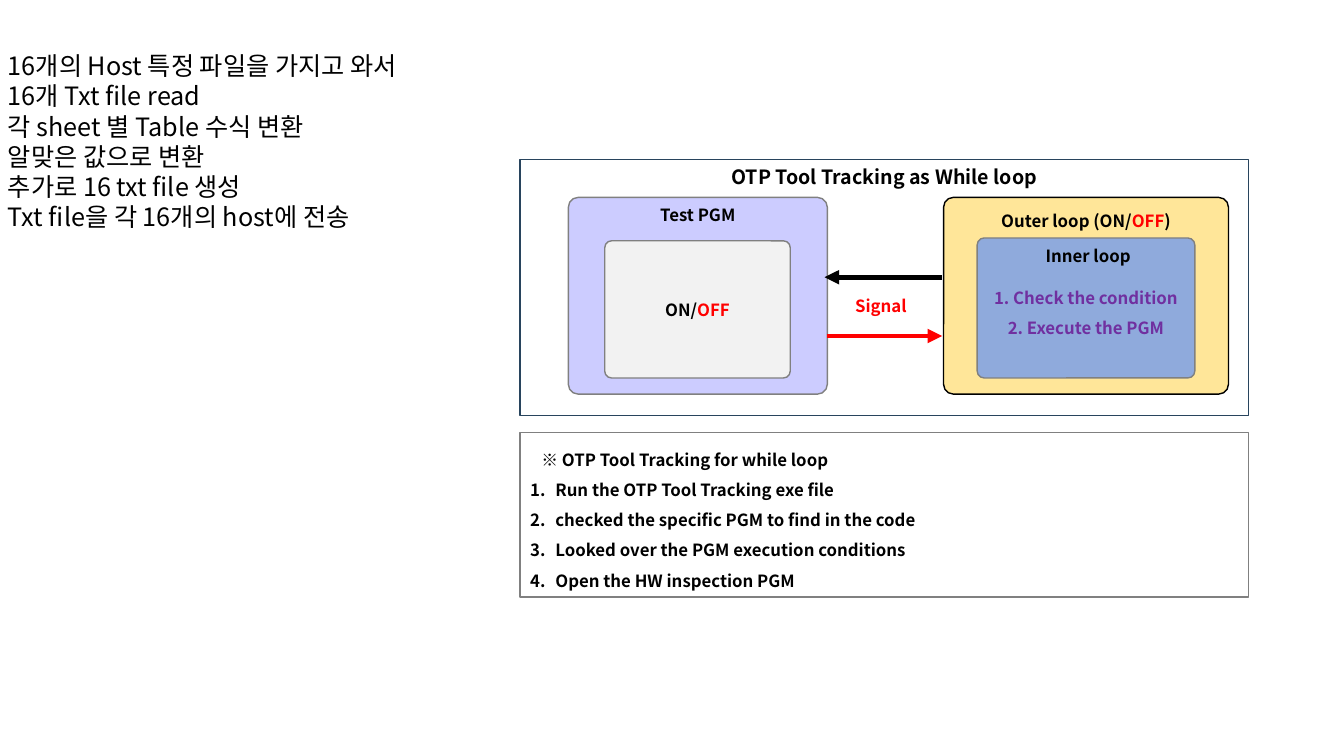
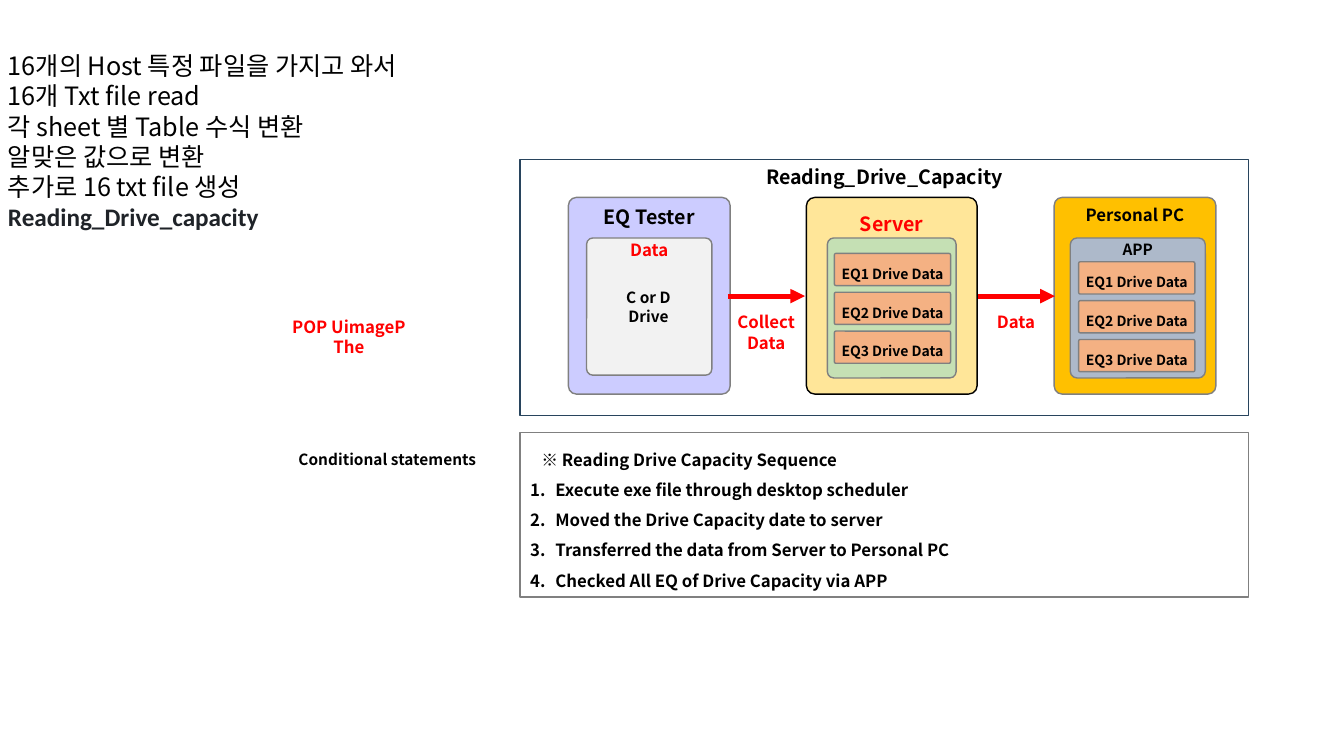
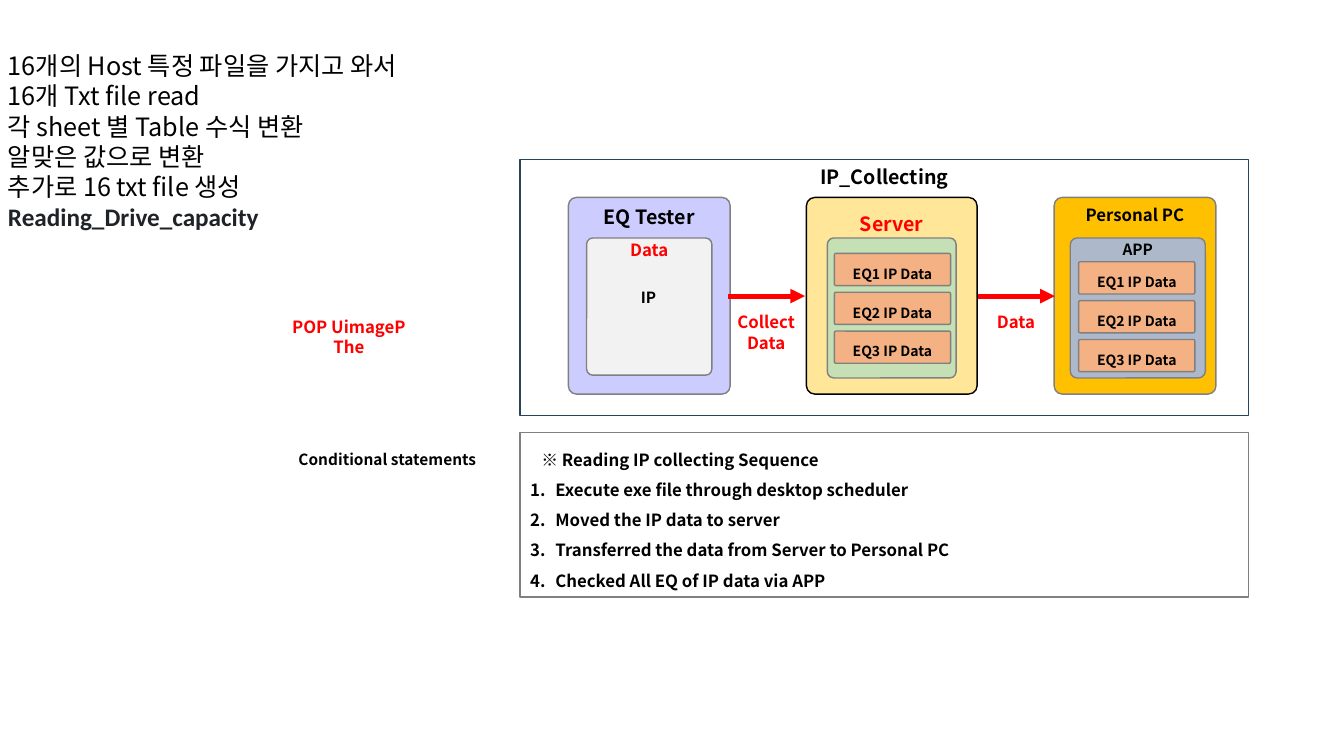
from lxml.etree import SubElement
from pptx import Presentation
from pptx.dml.color import RGBColor
from pptx.enum.shapes import MSO_CONNECTOR, MSO_SHAPE
from pptx.enum.text import MSO_ANCHOR, MSO_AUTO_SIZE, PP_ALIGN
from pptx.oxml.ns import qn
from pptx.util import Pt

FONT = "Noto Sans CJK KR"
BLACK = RGBColor(0x00, 0x00, 0x00)
WHITE = RGBColor(0xFF, 0xFF, 0xFF)
RED = RGBColor(0xFF, 0x00, 0x00)
PURPLE = RGBColor(0x70, 0x30, 0xA0)
INK = RGBColor(0x1F, 0x23, 0x28)
GREY = RGBColor(0x80, 0x80, 0x80)
NAVY = RGBColor(0x28, 0x44, 0x5D)
LAVENDER = RGBColor(0xCC, 0xCC, 0xFF)
PALE_GREY = RGBColor(0xF2, 0xF2, 0xF2)
CREAM = RGBColor(0xFF, 0xE6, 0x99)
BLUE = RGBColor(0x8F, 0xAA, 0xDC)
GREEN = RGBColor(0xC5, 0xE0, 0xB4)
GOLD = RGBColor(0xFF, 0xC0, 0x00)
SLATE = RGBColor(0xAD, 0xB9, 0xCA)
ORANGE = RGBColor(0xF4, 0xB1, 0x83)

FRAME_LEFT, FRAME_WIDTH = 371.5, 520.5
NODE_TOP, NODE_HEIGHT = 141, 140.5
STEP_INDENT = 18

NOTES = ["16개의 Host 특정 파일을 가지고 와서", "16개 Txt file read",
         "각 sheet 별 Table 수식 변환", "알맞은 값으로 변환", "추가로 16 txt file 생성"]

CONTENT = [
    ("OTP Tool Tracking as While loop", "OTP Tool Tracking for while loop",
     ["Run the OTP Tool Tracking exe file", "checked the specific PGM to find in the code",
      "Looked over the PGM execution conditions", "Open the HW inspection PGM"]),
    ("Reading_Drive_Capacity", "Reading Drive Capacity Sequence",
     ["Execute exe file through desktop scheduler", "Moved the Drive Capacity date to server",
      "Transferred the data from Server to Personal PC",
      "Checked All EQ of Drive Capacity via APP"]),
    ("IP_Collecting", "Reading IP collecting Sequence",
     ["Execute exe file through desktop scheduler", "Moved the IP data to server",
      "Transferred the data from Server to Personal PC", "Checked All EQ of IP data via APP"]),
]


def write(shape, paragraphs, size, bold=True, align=PP_ALIGN.CENTER, spacing=1.0,
          anchor=MSO_ANCHOR.TOP, inset=True):
    """Fill a shape with paragraphs, each a list of (text, colour) runs."""
    frame = shape.text_frame
    frame.word_wrap = True
    frame.auto_size = MSO_AUTO_SIZE.NONE
    frame.vertical_anchor = anchor
    frame.margin_left = frame.margin_right = Pt(7.2 if inset else 0)
    frame.margin_top = frame.margin_bottom = Pt(3.6 if inset else 0)
    for index, runs in enumerate(paragraphs):
        paragraph = frame.add_paragraph() if index else frame.paragraphs[0]
        paragraph.alignment = align
        paragraph.line_spacing = spacing
        paragraph.space_before = Pt(0)
        for text, colour in runs:
            run = paragraph.add_run()
            run.text = text
            run.font.size = Pt(size)
            run.font.bold = bold
            run.font.color.rgb = colour
            run.font.name = FONT
            SubElement(run.font._element, qn("a:ea"), typeface=FONT)


def add_box(slide, box, fill=None, paragraphs=(), size=12, line=GREY, **text_style):
    """Add a rounded box, or a plain text box when there is no fill."""
    bounds = [Pt(length) for length in box]
    if fill is None:
        shape = slide.shapes.add_textbox(*bounds)
    else:
        shape = slide.shapes.add_shape(MSO_SHAPE.ROUNDED_RECTANGLE, *bounds)
        shape.adjustments[0] = 0.05
        shape.shadow.inherit = False
        shape.fill.solid()
        shape.fill.fore_color.rgb = fill
        shape.line.color.rgb = line
        shape.line.width = Pt(1)
    write(shape, paragraphs, size, **text_style)


presentation = Presentation()
presentation.slide_width = Pt(960)
presentation.slide_height = Pt(540)
slides = []

# Shared parts: notes, framed title and numbered steps
for title, heading, steps in CONTENT:
    slide = presentation.slides.add_slide(presentation.slide_layouts[3])
    slides.append(slide)
    title_frame, notes, sequence = slide.placeholders
    for shape, box in [(title_frame, (FRAME_LEFT, 114, FRAME_WIDTH, 183)),
                       (notes, (-1.5, 32.5, 342.5, 138)),
                       (sequence, (FRAME_LEFT, 309, FRAME_WIDTH, 117.5))]:
        shape.left, shape.top, shape.width, shape.height = [Pt(length) for length in box]

    title_frame.line.color.rgb = NAVY
    title_frame.line.width = Pt(1)
    write(title_frame, [[(title, BLACK)]], 14)

    first_slide = len(slides) == 1
    last_note = ("Txt file을 각 16개의 host에 전송", BLACK) if first_slide else (
        "Reading_Drive_capacity", INK)
    write(notes, [[(note, BLACK)] for note in NOTES] + [[last_note]], 18,
          bold=False, align=PP_ALIGN.LEFT)
    if not first_slide:
        font = notes.text_frame.paragraphs[-1].runs[0].font
        font.name = "Calibri"
        font.bold = True

    sequence.fill.solid()
    sequence.fill.fore_color.rgb = WHITE
    sequence.line.color.rgb = GREY
    sequence.line.width = Pt(1)
    write(sequence, [[(text, BLACK)] for text in ["※ " + heading] + steps], 12,
          align=PP_ALIGN.LEFT, spacing=1.5, anchor=MSO_ANCHOR.MIDDLE)

    heading_paragraph, *step_paragraphs = sequence.text_frame.paragraphs
    for paragraph in [*notes.text_frame.paragraphs, heading_paragraph]:
        properties = paragraph._p.get_or_add_pPr()
        properties.set("marL", str(Pt(8) if paragraph is heading_paragraph else 0))
        properties.set("indent", "0")
        SubElement(properties, qn("a:buNone"))
    for paragraph in step_paragraphs:
        properties = paragraph._p.get_or_add_pPr()
        properties.set("marL", str(Pt(STEP_INDENT)))
        properties.set("indent", str(-Pt(STEP_INDENT)))
        SubElement(properties, qn("a:buFont"), typeface="+mj-lt")
        SubElement(properties, qn("a:buAutoNum"), type="arabicPeriod")

# While loop: test program and nested loops
loop_slide = slides[0]
add_box(loop_slide, (406, NODE_TOP, 185, NODE_HEIGHT), LAVENDER, [[("Test PGM", BLACK)]])
add_box(loop_slide, (432, 172, 132.5, 98), PALE_GREY, [[("ON/", BLACK), ("OFF", RED)]],
        anchor=MSO_ANCHOR.MIDDLE)
add_box(loop_slide, (674, NODE_TOP, 203.5, NODE_HEIGHT), CREAM,
        [[("Outer loop (ON/", BLACK), ("OFF", RED), (")", BLACK)]],
        line=BLACK, spacing=1.5, inset=False)
add_box(loop_slide, (698, 170, 155.5, 100), BLUE,
        [[("1. Check the condition", PURPLE)], [("2. Execute the PGM", PURPLE)]],
        spacing=1.5, anchor=MSO_ANCHOR.MIDDLE, inset=False)
add_box(loop_slide, (724, 172, 106.5, 21.5), paragraphs=[[("Inner loop", BLACK)]])
add_box(loop_slide, (576, 208, 106.5, 21.5), paragraphs=[[("Signal", RED)]])

# Data flow: tester to server to personal computer
for slide, item, source_lines in [(slides[1], "Drive", ["C or D", "Drive"]),
                                  (slides[2], "IP", ["IP"])]:
    add_box(slide, (406, NODE_TOP, 115.5, NODE_HEIGHT), LAVENDER, [[("EQ Tester", BLACK)]], 14)
    add_box(slide, (419, 170, 89.5, 98), PALE_GREY, [[("Data", RED)]], inset=False)
    add_box(slide, (391.5, 202.5, 143.5, 34), None,
            [[(text, BLACK)] for text in source_lines], 11)
    add_box(slide, (576, NODE_TOP, 122, NODE_HEIGHT), CREAM, [[("Server", RED)]], 14,
            line=BLACK, spacing=1.5, inset=False)
    add_box(slide, (591, 170, 92, 100), GREEN)
    add_box(slide, (753, NODE_TOP, 115.5, NODE_HEIGHT), GOLD, [[("Personal PC", BLACK)]])
    add_box(slide, (764.5, 170, 96.5, 100), SLATE, [[("APP", BLACK)]], 11, inset=False)
    for left, top in [(596, 181), (770.5, 187)]:
        for row in range(3):
            add_box(slide, (left, top + 27.75 * row, 83, 23), ORANGE,
                    [[(f"EQ{row + 1} {item} Data", BLACK)]], 10,
                    spacing=1.5, anchor=MSO_ANCHOR.MIDDLE, inset=False)
    add_box(slide, (494, 219.5, 106.5, 36), None, [[("Collect", RED)], [("Data", RED)]])
    add_box(slide, (672.5, 219.5, 106.5, 21.5), None, [[("Data", RED)]])
    add_box(slide, (196, 222.5, 106.5, 36), None, [[("POP UimageP", RED)], [("The", RED)]])
    add_box(slide, (205, 318, 143.5, 21), None, [[("Conditional statements", BLACK)]], 11)

# Arrows: start, end and height
for slide, start, end, height, colour in [
    (slides[0], 673, 589, 198, BLACK),
    (slides[0], 590.5, 673, 240, RED),
    *[(slide, start, start + 55, 211.5, RED) for slide in slides[1:] for start in (520, 698.5)],
]:
    arrow = slide.shapes.add_connector(
        MSO_CONNECTOR.STRAIGHT, Pt(start), Pt(height), Pt(end), Pt(height))
    arrow.line.color.rgb = colour
    arrow.line.width = Pt(3.5)
    SubElement(arrow.line._get_or_add_ln(), qn("a:tailEnd"), type="triangle")
    SubElement(arrow._element.spPr, qn("a:effectLst"))

presentation.save("out.pptx")
